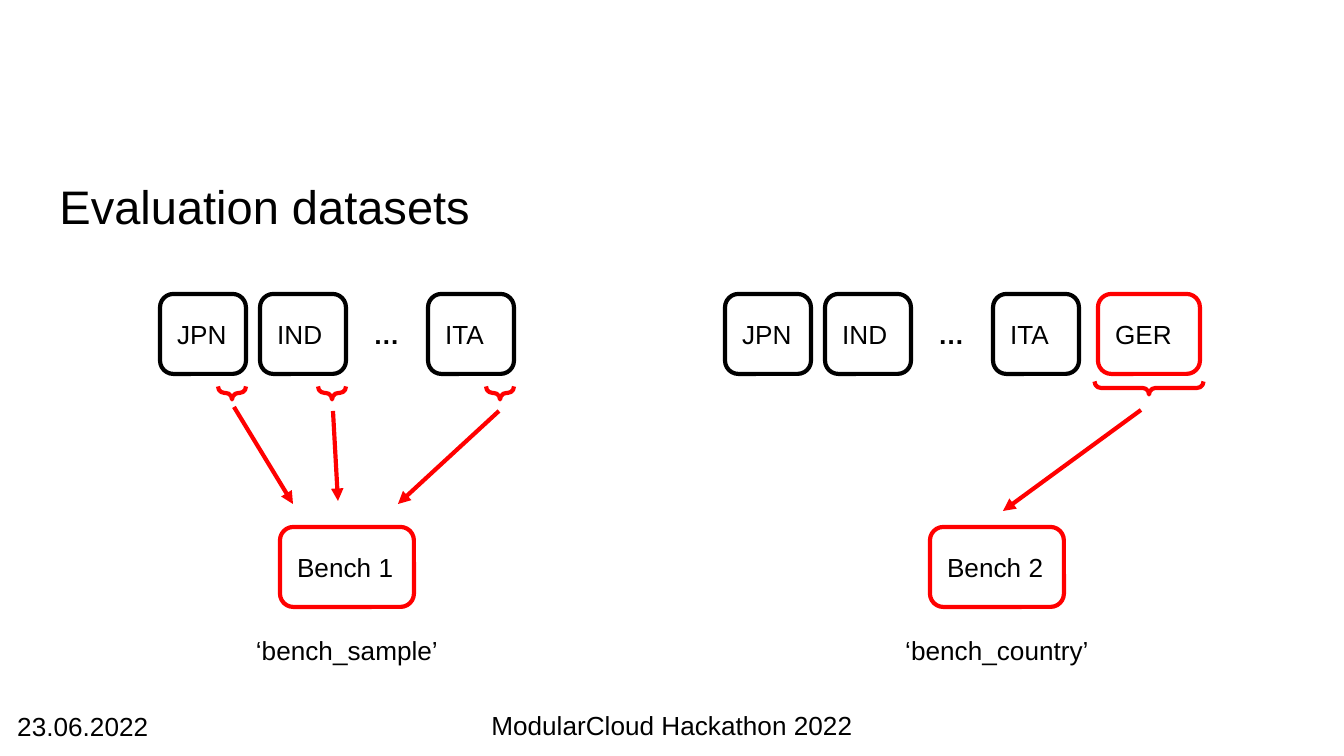
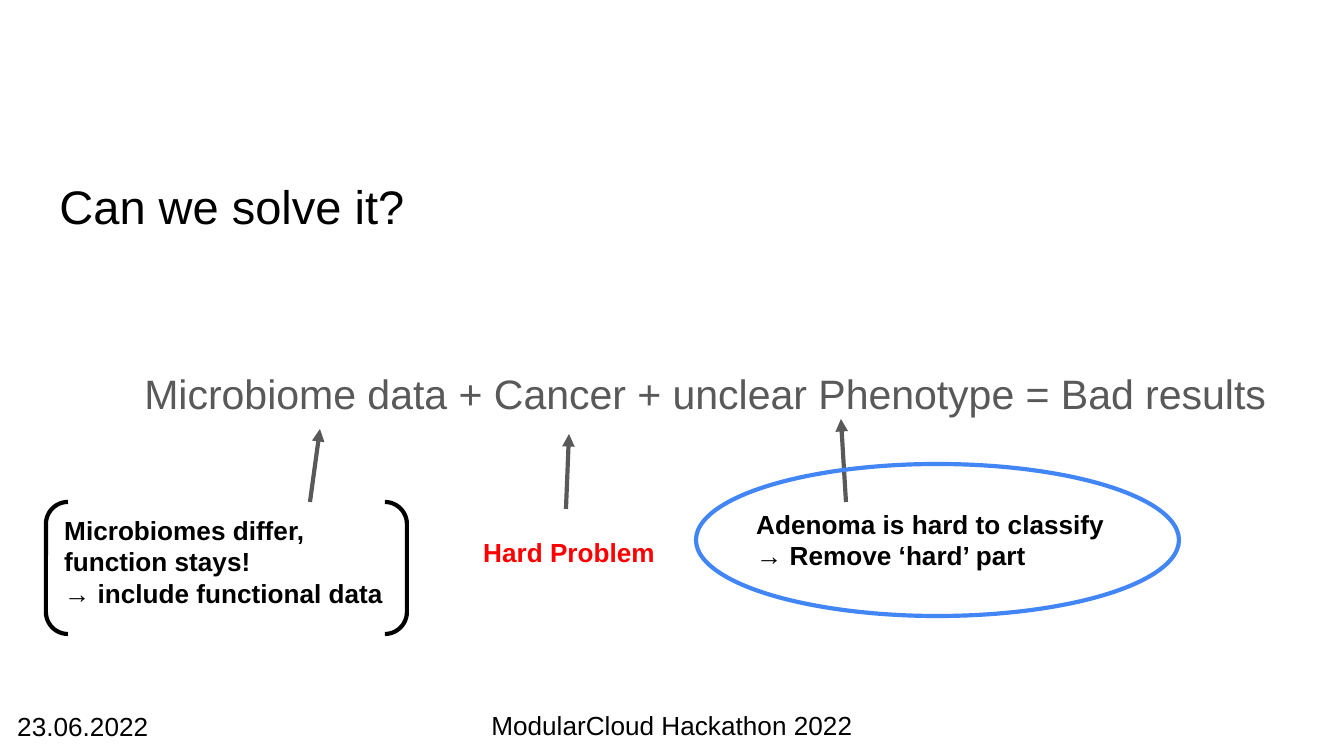
from lxml import etree
from pptx import Presentation
from pptx.dml.color import RGBColor
from pptx.enum.shapes import MSO_CONNECTOR, MSO_SHAPE
from pptx.enum.text import MSO_ANCHOR, MSO_AUTO_SIZE, PP_ALIGN
from pptx.oxml.ns import qn
from pptx.util import Pt

LEFT, MID = PP_ALIGN.LEFT, PP_ALIGN.CENTER
TOP, MIDDLE = MSO_ANCHOR.TOP, MSO_ANCHOR.MIDDLE
ROUND, BRACE = MSO_SHAPE.ROUNDED_RECTANGLE, MSO_SHAPE.RIGHT_BRACE
OVAL, PAIR = MSO_SHAPE.OVAL, MSO_SHAPE.DOUBLE_BRACKET

BLACK = RGBColor(0x00, 0x00, 0x00)
RED = RGBColor(0xFF, 0x00, 0x00)
GREY = RGBColor(0x59, 0x59, 0x59)
BLUE = RGBColor(0x42, 0x85, 0xF4)

FONT = "Arial"
UNIT = 914400 / 134.4
WIDTH, HEIGHT = 1344, 756
INSET = 13.44
STROKE = 2.25

# Content: boxes are (left, top, width, height)
TITLE_BOX = (46, 164, 1253, 85)
FOOTERS = [
    ("ModularCloud Hackathon 2022", (461, 696, 422, 59), MID),
    ("23.06.2022", (4, 697, 161, 59), LEFT),
]

CHIPS = [("JPN", 0), ("IND", 100), ("ITA", 268)]
DOTS_X = 200
CHIP_Y, CHIP_W, CHIP_H = 294, 86, 80
BRACE_X = 72
BENCH_Y, BENCH_W = 527, 134
PANELS = [
    {"left": 160, "extra": None, "bench": ("Bench 1", 280),
     "caption": "‘bench_sample’",
     "braces": [(160 + x + BRACE_X, 393, 28) for _, x in CHIPS],
     "arrows": [((234, 407), (293, 504)), ((333, 411), (338, 501)),
                ((499, 411), (398, 504))]},
    {"left": 725, "extra": ("GER", 1098, 102), "bench": ("Bench 2", 930),
     "caption": "‘bench_country’",
     "braces": [(1149, 388, 109)],
     "arrows": [((1141, 410), (1003, 511))]},
]

FORMULA = "Microbiome data + Cancer + unclear Phenotype = Bad results"
NOTES = [
    (["Microbiomes differ, function stays!", "→ include functional data"],
     (51, 501, 362, 122), BLACK),
    (["Hard Problem"], (470, 523, 202, 59), RED),
    (["Adenoma is hard to classify", "→ Remove ‘hard’ part"],
     (743, 495, 390, 90), BLACK),
]
NOTE_ARROWS = [((310, 502), (320, 429)), ((566, 509), (569, 434)),
               ((846, 502), (841, 419))]
FRAMES = [(OVAL, (696, 464, 483, 152), BLUE),
          (PAIR, (46, 502, 361, 132), BLACK)]


def px(*values):
    """Turn pixels into EMU."""
    return [round(v * UNIT) for v in values]


def write(shape, lines, size=14, color=BLACK, bold=False, align=LEFT,
          anchor=TOP):
    """Fill a shape with formatted paragraphs."""
    frame = shape.text_frame
    edge = px(INSET)[0]
    form = {"word_wrap": True, "auto_size": MSO_AUTO_SIZE.NONE,
            "vertical_anchor": anchor, "margin_left": edge,
            "margin_right": edge, "margin_top": edge, "margin_bottom": edge}
    for name, value in form.items():
        setattr(frame, name, value)
    frame.text = "\n".join(lines)
    for para in frame.paragraphs:
        para.alignment = align
        for run in para.runs:
            look = {"name": FONT, "size": Pt(size), "bold": bold}
            for name, value in look.items():
                setattr(run.font, name, value)
            run.font.color.rgb = color


def label(slide, lines, box, **form):
    """Add a text box."""
    write(slide.shapes.add_textbox(*px(*box)), lines, **form)


def outline(slide, kind, box, color):
    """Add an unfilled shape with a coloured line."""
    shape = slide.shapes.add_shape(kind, *px(*box))
    shape.shadow.inherit = False
    shape.fill.background()
    shape.line.color.rgb = color
    shape.line.width = Pt(STROKE)
    return shape


def chip(slide, text, left, width, color):
    """Add a country box in the top row."""
    shape = outline(slide, ROUND, (left, CHIP_Y, width, CHIP_H), color)
    write(shape, [text], anchor=MIDDLE)


def brace(slide, x, y, span):
    """Add a downward brace centred on a point."""
    thick = 13
    shape = outline(slide, BRACE,
                    (x - thick / 2, y - span / 2, thick, span), RED)
    shape.rotation = 90
    shape.adjustments[0] = 0.5


def arrow(slide, start, end, color):
    """Add a straight arrow."""
    line = slide.shapes.add_connector(MSO_CONNECTOR.STRAIGHT,
                                      *px(*start, *end))
    line.line.color.rgb = color
    line.line.width = Pt(STROKE)
    stroke = line.line._get_or_add_ln()
    etree.SubElement(stroke, qn("a:tailEnd"), type="triangle")
    etree.SubElement(line._element.spPr, qn("a:effectLst"))


def page(deck, title):
    """Add a slide with its title and footers."""
    slide = deck.slides.add_slide(deck.slide_layouts[5])
    for text, box, align in FOOTERS:
        label(slide, [text], box, align=align)
    head = slide.shapes.title
    head.left, head.top, head.width, head.height = px(*TITLE_BOX)
    write(head, [title], size=25.2)
    return slide


def panel(slide, part):
    """Draw one dataset split, from countries to benchmark."""
    left = part["left"]
    for text, x in CHIPS:
        chip(slide, text, left + x, CHIP_W, BLACK)
    label(slide, ["…"], (left + DOTS_X, 305, 54, 59), bold=True)
    if part["extra"]:
        chip(slide, *part["extra"], RED)
    for spot in part["braces"]:
        brace(slide, *spot)
    text, x = part["bench"]
    bench = outline(slide, ROUND, (x, BENCH_Y, BENCH_W, CHIP_H), RED)
    write(bench, [text], anchor=MIDDLE)
    for start, end in part["arrows"]:
        arrow(slide, start, end, RED)
    wide = 226
    label(slide, [part["caption"]],
          (x + (BENCH_W - wide) / 2, 621, wide, 59), align=MID)


def main():
    """Build and save the deck."""
    deck = Presentation()
    deck.slide_width, deck.slide_height = px(WIDTH, HEIGHT)

    slide = page(deck, "Evaluation datasets")
    for part in PANELS:
        panel(slide, part)

    slide = page(deck, "Can we solve it?")
    label(slide, [FORMULA], (79, 353, 1253, 80), size=22, color=GREY,
          align=MID, anchor=MIDDLE)
    for lines, box, color in NOTES:
        label(slide, lines, box, color=color, bold=True)
    for start, end in NOTE_ARROWS:
        arrow(slide, start, end, GREY)
    for kind, box, color in FRAMES:
        outline(slide, kind, box, color)

    deck.save("out.pptx")


main()
